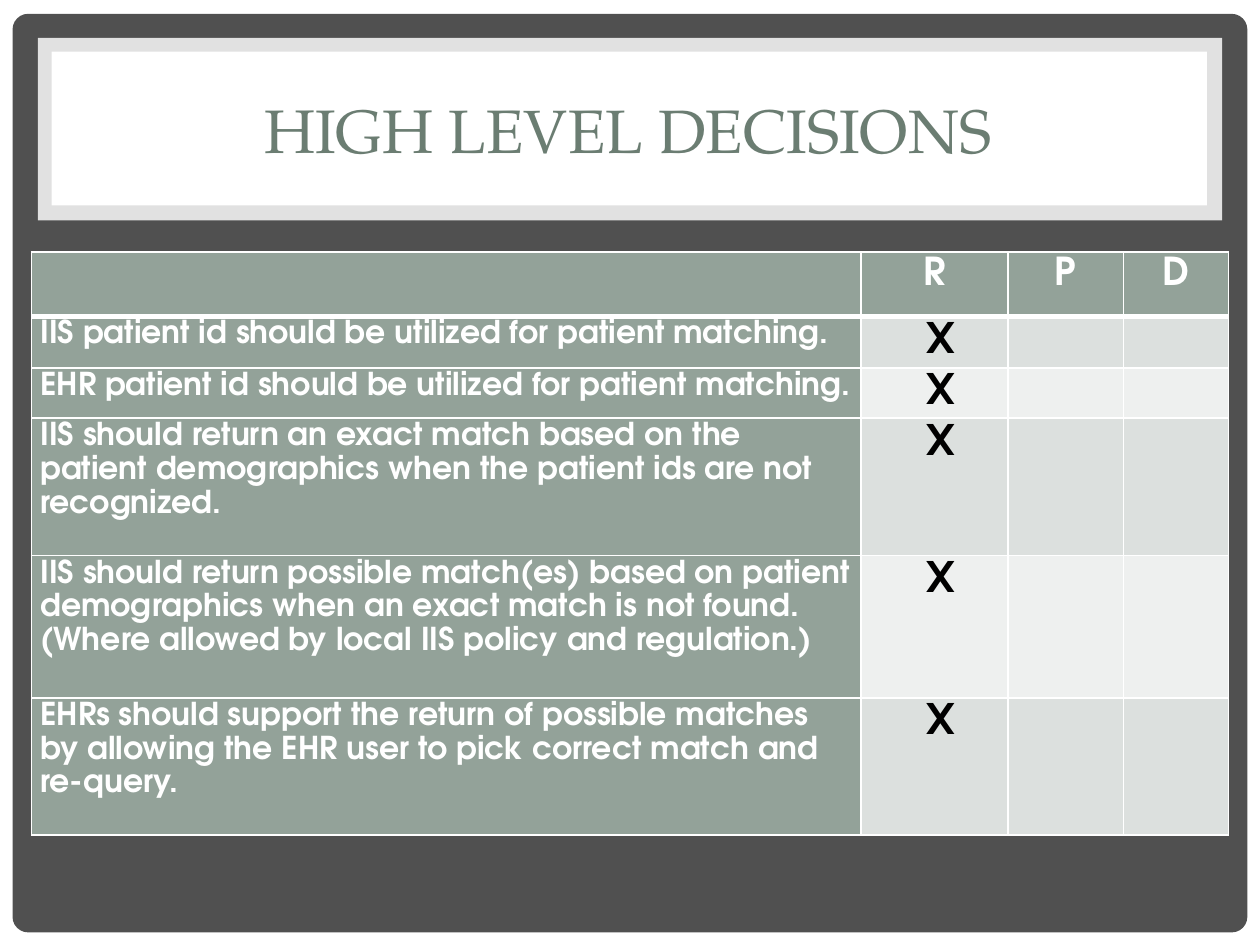
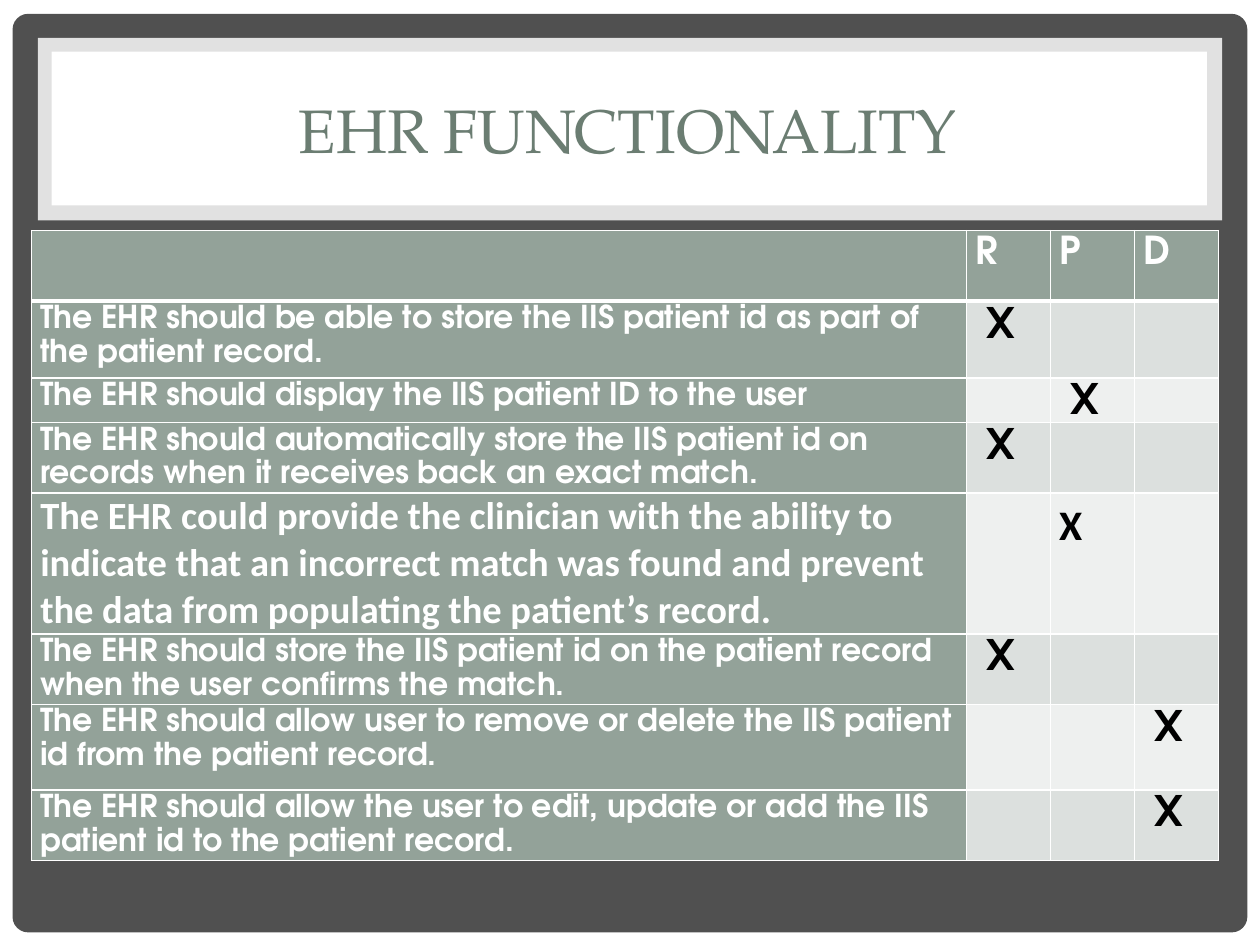
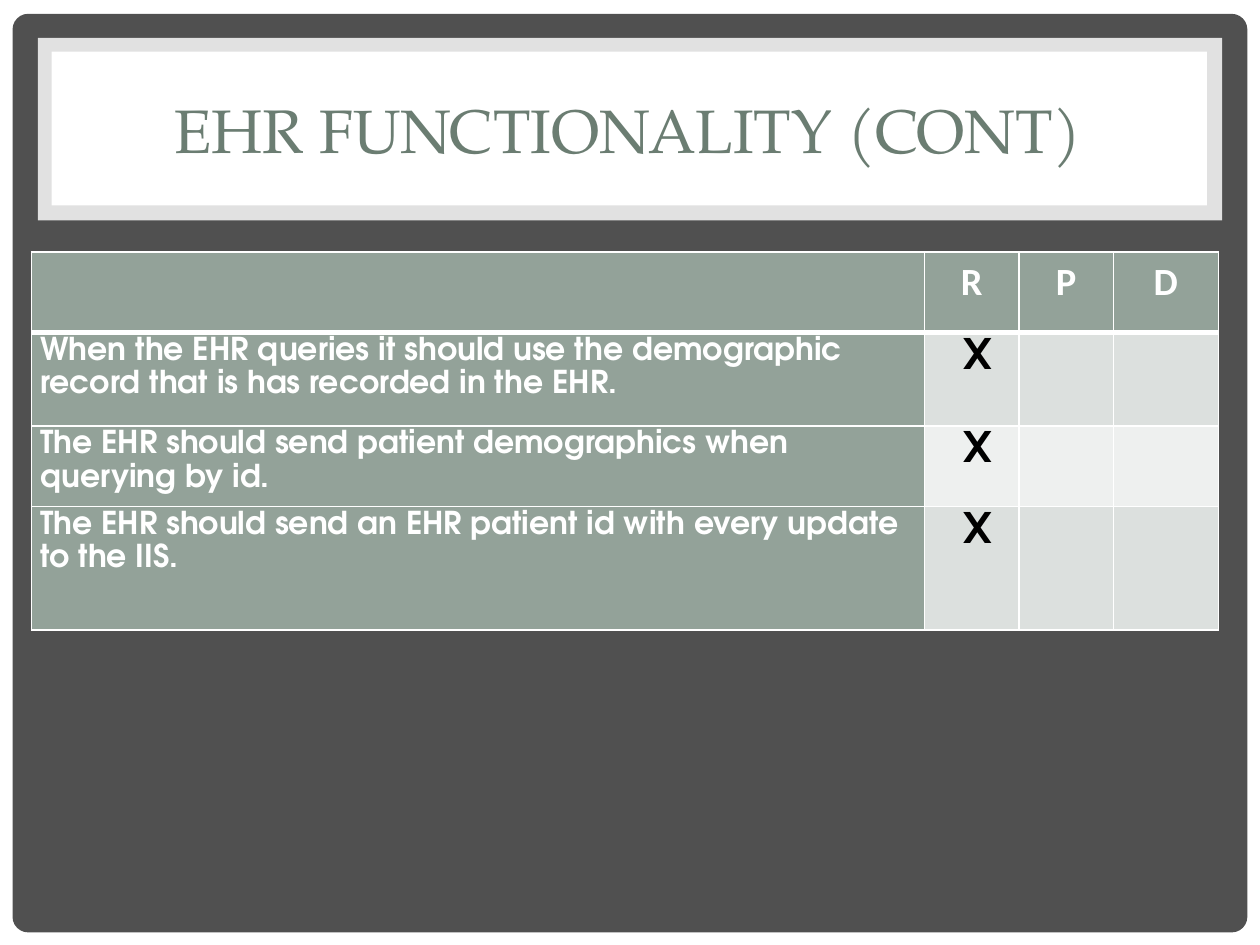
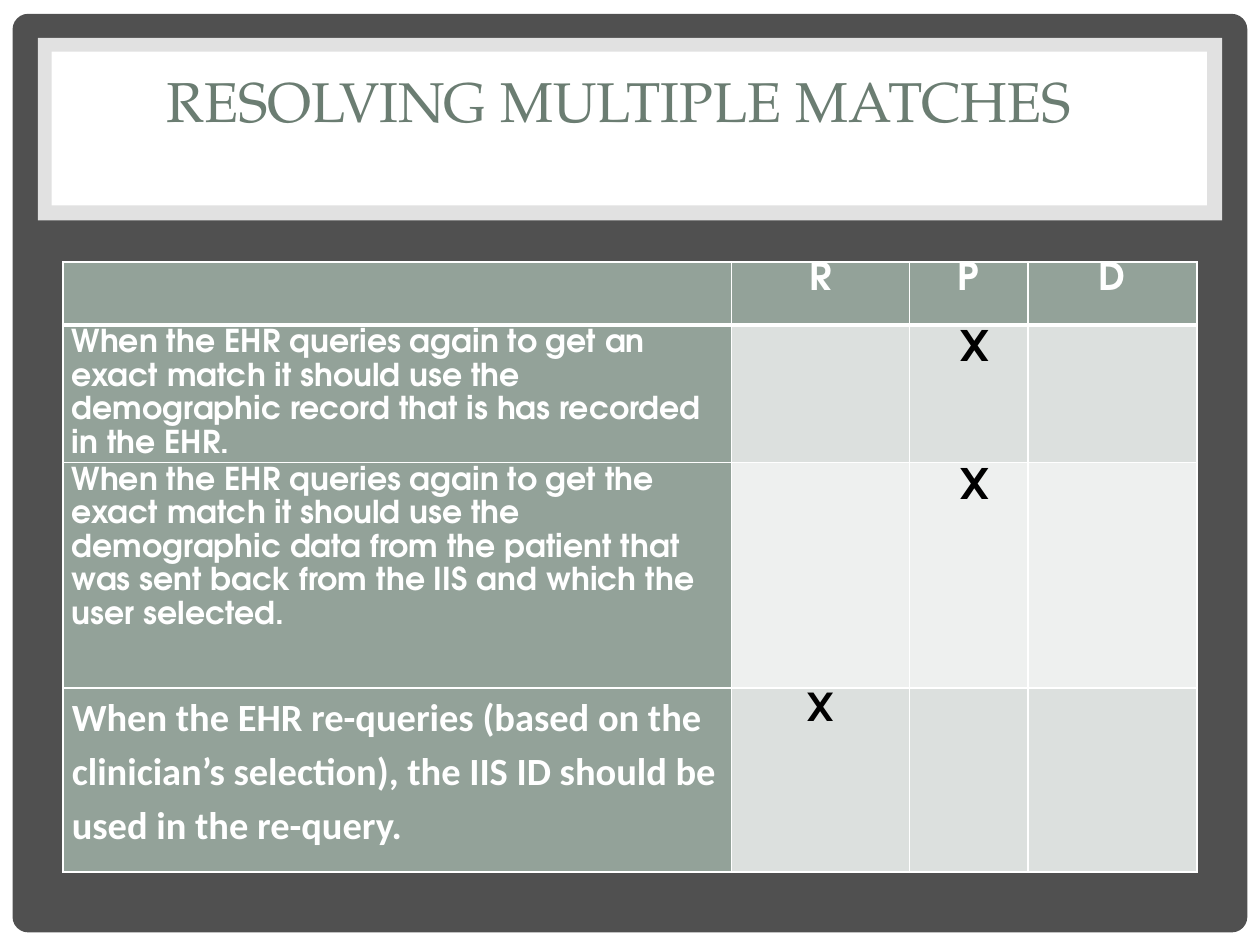
import pptx
import pptx.dml.color
import pptx.enum.shapes
import pptx.enum.text
import pptx.oxml
import pptx.oxml.ns
import pptx.util
from lxml import etree

WIDTH, HEIGHT = 10, 7.5
COLORS = {
    "slate": "505050", "white": "FFFFFF", "title": "6B7D72", "sage": "93A299",
    "odd": "DCE0DE", "even": "EEF0EF", "mark": "000000",
}
TITLE_FONT, BODY_FONT, PLAIN_FONT = "TeX Gyre Pagella", "TeX Gyre Adventor", "Calibri"
TITLE_BOX = (0.47, 0.45, 9.03, 1.14)
LEFT, CENTER = pptx.enum.text.PP_ALIGN.LEFT, pptx.enum.text.PP_ALIGN.CENTER
RATINGS = ("R", "P", "D")
MARK = " X"  # led by a no-break space

# Each requirement: text, rating, and any departures from the usual row style
PLAIN = {"font": PLAIN_FONT, "size": 22}
SLIDES = [
    {
        "title": "HIGH LEVEL DECISIONS",
        "box": (0.25, 2, 9.5, 4.63),
        "columns": (79, 14, 11, 10),
        "rows": (51, 41, 40, 109, 113, 109),
        "requirements": [
            ("IIS patient id should be utilized for patient matching.", "R", {}),
            ("EHR patient id should be utilized for patient matching.", "R", {}),
            ("IIS should return an exact match based on the patient demographics "
             "when the patient ids are not recognized.", "R", {}),
            ("IIS should return possible match(es) based on patient demographics when an "
             "exact match is not found. (Where allowed by local IIS policy and "
             "regulation.)", "R", {}),
            ("EHRs should support the return of possible matches by allowing the EHR "
             "user to pick correct match and re-query.", "R", {}),
        ],
    },
    {
        "title": "EHR FUNCTIONALITY",
        "box": (0.25, 1.83, 9.42, 4.36),
        "columns": (89, 8, 8, 8),
        "rows": (56, 61, 27, 56, 56, 56, 68, 56),
        "align": LEFT,
        "requirements": [
            ("The EHR should be able to store the IIS patient id as part of the patient "
             "record.", "R", {}),
            ("The EHR should display the IIS patient ID to the user", "P", {}),
            ("The EHR should automatically store the IIS patient id on records when it "
             "receives back an exact match.", "R", {}),
            ("The EHR could provide the clinician with the ability to indicate that an "
             "incorrect match was found and prevent the data from populating the "
             "patient’s record.", "P",
             {**PLAIN, "spacing": None, "mark": "X", "mark_font": PLAIN_FONT}),
            ("The EHR should store the IIS patient id on the patient record when the "
             "user confirms the match.", "R", {}),
            ("The EHR should allow user to remove or delete the IIS patient id from the "
             "patient record.", "D", {}),
            ("The EHR should allow the user to edit, update or add the IIS patient id to "
             "the patient record.", "D", {}),
        ],
    },
    {
        "title": "EHR FUNCTIONALITY (CONT)",
        "box": (0.25, 2, 9.42, 3),
        "columns": (85, 9, 9, 10),
        "rows": (64, 74, 64, 98),
        "header_font": PLAIN_FONT,
        "requirements": [
            ("When the EHR queries it should use the demographic record that is has "
             "recorded in the EHR.", "R", {}),
            ("The EHR should send patient demographics when querying by id.", "R", {}),
            ("The EHR should send an EHR patient id with every update to the IIS.",
             "R", {}),
        ],
    },
    {
        "title": "RESOLVING MULTIPLE MATCHES",
        "title_box": (0, 0.17, 9.83, 1.25),
        "title_size": 32,
        "box": (0.5, 2.08, 9, 4.84),
        "columns": (53, 14.1, 9.4, 13.4),
        "rows": (50, 109, 179, 146),
        "header_spacing": None,
        "requirements": [
            ("When the EHR queries again to get an exact match it should use the "
             "demographic record that is has recorded in the EHR.", "P", {}),
            ("When the EHR queries again to get the exact match it should use the "
             "demographic data from the patient that was sent back from the IIS and "
             "which the user selected.", "P", {}),
            ("When the EHR re-queries (based on the clinician’s selection), the IIS ID "
             "should be used in the re-query.", "R",
             {**PLAIN, "mark": "X", "mark_size": 22}),
        ],
    },
]


def rgb(name):
    return pptx.dml.color.RGBColor.from_string(COLORS[name])


def inches(box):
    return [pptx.util.Inches(length) for length in box]


def split(total, weights):
    return [pptx.util.Inches(total * weight / sum(weights)) for weight in weights]


def write(frame, text, font, size, color, align, spacing=None, bold=False):
    paragraph = frame.paragraphs[0]
    paragraph.alignment = align
    if spacing:
        paragraph.line_spacing = spacing
    run = paragraph.add_run()
    run.text = text
    run.font.name = font
    run.font.size = pptx.util.Pt(size)
    run.font.bold = bold
    run.font.color.rgb = rgb(color)


def add_panel(slide, kind, box, color, opacity=None):
    panel = slide.shapes.add_shape(kind, *inches(box))
    panel.shadow.inherit = False
    panel.fill.solid()
    panel.fill.fore_color.rgb = rgb(color)
    panel.line.fill.background()
    if opacity:
        tint = panel._element.spPr.find(".//" + pptx.oxml.ns.qn("a:srgbClr"))
        etree.SubElement(tint, pptx.oxml.ns.qn("a:alpha"), val=str(opacity * 1000))
    return panel


def frame_layout(layout, slide):
    """Draw the shared frame and title band, then hand them to the layout."""
    shapes = pptx.enum.shapes.MSO_SHAPE
    page = add_panel(slide, shapes.RECTANGLE, (0, 0, WIDTH, HEIGHT), "white")
    board = add_panel(slide, shapes.ROUNDED_RECTANGLE, (0.1, 0.11, 9.8, 7.29), "slate")
    board.adjustments[0] = 0.017
    band = add_panel(slide, shapes.RECTANGLE, (0.3, 0.3, 9.4, 1.45), "white", 83)
    plate = add_panel(slide, shapes.RECTANGLE, (0.41, 0.41, 9.17, 1.22), "white")
    for position, panel in enumerate((page, board, band, plate), start=2):
        layout.shapes._spTree.insert(position, panel._element)
    layout.background.fill.solid()
    layout.background.fill.fore_color.rgb = rgb("slate")


def add_title(slide, text, box, size):
    title = slide.shapes.title
    title.left, title.top, title.width, title.height = inches(box)
    frame = title.text_frame
    frame.word_wrap = True
    frame.auto_size = pptx.enum.text.MSO_AUTO_SIZE.NONE
    frame.vertical_anchor = pptx.enum.text.MSO_ANCHOR.MIDDLE
    write(frame, text, TITLE_FONT, size, "title", CENTER)


def style_cell(cell, color, top=1, bottom=1):
    cell.margin_left = cell.margin_right = pptx.util.Inches(0.07)
    cell.margin_top = cell.margin_bottom = 0
    cell.fill.solid()
    cell.fill.fore_color.rgb = rgb(color)
    # Borders come before the fill in the cell properties
    properties = cell._tc.get_or_add_tcPr()
    for position, (side, width) in enumerate(
            (("L", 1), ("R", 1), ("T", top), ("B", bottom))):
        properties.insert(position, pptx.oxml.parse_xml(
            f'<a:ln{side} {pptx.oxml.ns.nsdecls("a")} w="{pptx.util.Pt(width)}">'
            f'<a:solidFill><a:srgbClr val="{COLORS["white"]}"/></a:solidFill>'
            f'</a:ln{side}>'))


def add_ratings_table(slide, content):
    box, requirements = content["box"], content["requirements"]
    align = content.get("align", CENTER)
    table = slide.shapes.add_table(
        len(requirements) + 1, len(RATINGS) + 1, *inches(box)).table
    table.first_col = True
    for column, width in zip(table.columns, split(box[2], content["columns"])):
        column.width = width
    for row, height in zip(table.rows, split(box[3], content["rows"])):
        row.height = height

    # Header row
    for column, rating in enumerate(("",) + RATINGS):
        cell = table.cell(0, column)
        style_cell(cell, "sage", bottom=3)
        if rating:
            write(cell.text_frame, rating, content.get("header_font", BODY_FONT), 22,
                  "white", align, content.get("header_spacing", 1.15), True)

    # One row for each requirement, with a mark under its rating
    for row, (text, rating, style) in enumerate(requirements, start=1):
        top = 3 if row == 1 else 1
        label = table.cell(row, 0)
        style_cell(label, "sage", top)
        write(label.text_frame, text, style.get("font", BODY_FONT),
              style.get("size", 18), "white", LEFT, style.get("spacing", 1.15), True)
        for column, name in enumerate(RATINGS, start=1):
            cell = table.cell(row, column)
            style_cell(cell, "odd" if row % 2 else "even", top)
            if name == rating:
                write(cell.text_frame, style.get("mark", MARK),
                      style.get("mark_font", BODY_FONT), style.get("mark_size", 24),
                      "mark", align, 1.15, True)


def main():
    deck = pptx.Presentation()
    deck.slide_width, deck.slide_height = inches((WIDTH, HEIGHT))
    layout = deck.slide_layouts.get_by_name("Title Only")
    for number, content in enumerate(SLIDES):
        slide = deck.slides.add_slide(layout)
        if number == 0:
            frame_layout(layout, slide)
        add_title(slide, content["title"], content.get("title_box", TITLE_BOX),
                  content.get("title_size", 35))
        add_ratings_table(slide, content)
    deck.save("out.pptx")


if __name__ == "__main__":
    main()
